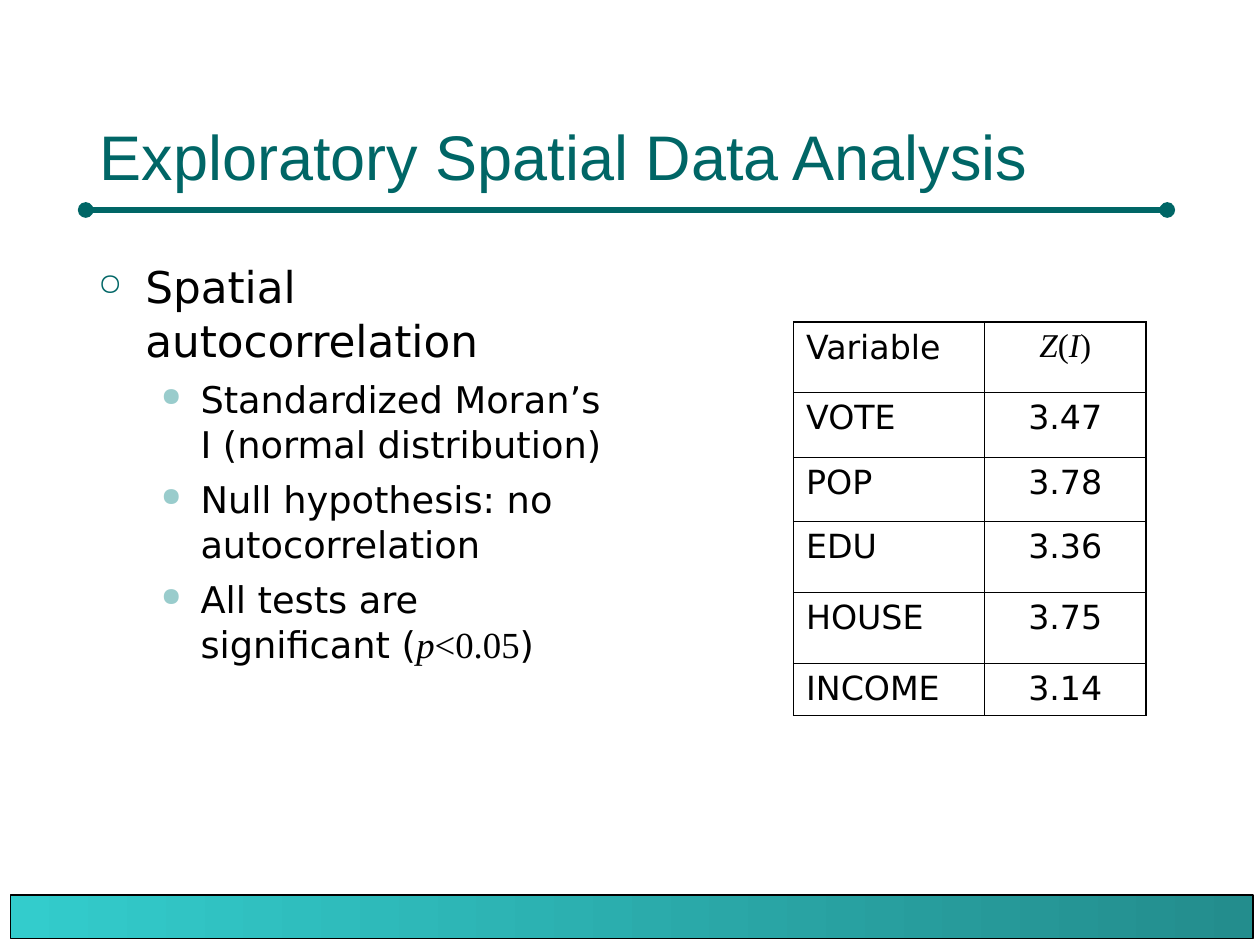
"""Build a slide on spatial autocorrelation with a table of test values."""
from lxml.etree import SubElement
from pptx import Presentation
from pptx.dml.color import RGBColor
from pptx.enum.shapes import MSO_CONNECTOR, MSO_SHAPE
from pptx.enum.text import MSO_ANCHOR, PP_ALIGN
from pptx.oxml.ns import qn
from pptx.util import Pt

HUES = {"teal": "006666", "pale": "99CCCC", "dark": "238D8D",
        "aqua": "33CCCC", "ink": "000000"}
SANS, SERIF = "DejaVu Sans", "Times New Roman"


def hue(name):
    return RGBColor.from_string(HUES[name])


def write(par, text, size=19, font=SANS, color="ink", italic=False):
    run = par.add_run()
    run.text = text
    run.font.size = Pt(size)
    run.font.name = font
    run.font.italic = italic
    run.font.color.rgb = hue(color)


deck = Presentation()
deck.slide_width, deck.slide_height = Pt(720), Pt(540)
slide = deck.slides.add_slide(deck.slide_layouts[6])
shapes = slide.shapes

rule = shapes.add_connector(MSO_CONNECTOR.STRAIGHT, Pt(49), Pt(120), Pt(667), Pt(120))
rule.line.color.rgb = hue("teal")
rule.line.width = Pt(3)
props = rule.line._get_or_add_ln()
for end in ("a:headEnd", "a:tailEnd"):
    SubElement(props, qn(end), type="oval")
SubElement(rule._element.spPr, qn("a:effectLst"))

bar = shapes.add_shape(MSO_SHAPE.RECTANGLE, Pt(6), Pt(511.5), Pt(710), Pt(25))
bar.shadow.inherit = False
bar.fill.gradient()
bar.fill.gradient_angle = 0
for stop, name in zip(bar.fill.gradient_stops, ("aqua", "dark")):
    stop.color.rgb = hue(name)
bar.line.color.rgb = hue("ink")
bar.line.width = Pt(0.75)

title = shapes.add_textbox(Pt(50), Pt(24), Pt(618), Pt(90)).text_frame
title.word_wrap = True
title.vertical_anchor = MSO_ANCHOR.BOTTOM
write(title.paragraphs[0], "Exploratory Spatial Data Analysis",
      size=36, font="Arial", color="teal")

body = shapes.add_textbox(Pt(49), Pt(144), Pt(304.5), Pt(344)).text_frame
body.word_wrap = True
points = [(0, "Spatial autocorrelation"),
          (1, "Standardized Moran’s I (normal distribution)"),
          (1, "Null hypothesis: no autocorrelation"),
          (1, "All tests are significant (")]
looks = [("○", "teal", 25, 27, 27), ("●", "pale", 21, 58.5, 22.5)]
for spot, (level, text) in enumerate(points):
    mark, tint, size, left, hang = looks[level]
    par = body.add_paragraph() if spot else body.paragraphs[0]
    par.level = level
    par.line_spacing = 1.03
    par.space_before = Pt(5.2 if spot else 0)
    props = par._p.get_or_add_pPr()
    props.set("marL", str(Pt(left)))
    props.set("indent", str(-Pt(hang)))
    SubElement(SubElement(props, qn("a:buClr")), qn("a:srgbClr"), val=HUES[tint])
    SubElement(props, qn("a:buSzPct"), val="70000")
    SubElement(props, qn("a:buChar"), char=mark)
    write(par, text, size=size)
write(par, "p", size=21, font=SERIF, italic=True)
write(par, "<0.05", size=21, font=SERIF)
write(par, ")", size=21)

rows = [("Variable", ""), ("VOTE", "3.47"), ("POP", "3.78"),
        ("EDU", "3.36"), ("HOUSE", "3.75"), ("INCOME", "3.14")]
highs = [40.5, 37, 36.5, 40.5, 40.5, 30]
wides = [109, 92.5]
table = shapes.add_table(len(rows), len(wides), Pt(453.5), Pt(184),
                         Pt(sum(wides)), Pt(sum(highs))).table
for col, wide in zip(table.columns, wides):
    col.width = Pt(wide)
for down, (row, high) in enumerate(zip(rows, highs)):
    table.rows[down].height = Pt(high)
    for over, text in enumerate(row):
        cell = table.cell(down, over)
        par = cell.text_frame.paragraphs[0]
        par.alignment = PP_ALIGN.CENTER if over else PP_ALIGN.LEFT
        if text:
            write(par, text)
        else:
            for part in "Z(I)":
                write(par, part, font=SERIF, italic=part.isalpha())
        props = cell._tc.get_or_add_tcPr()
        edges = {"a:lnL": over == 0, "a:lnR": over == 1,
                 "a:lnT": down == 0, "a:lnB": down == len(rows) - 1}
        for edge, outer in edges.items():
            line = SubElement(props, qn(edge), w=str(Pt(1.08 if outer else 0.45)))
            fill = SubElement(line, qn("a:solidFill"))
            SubElement(fill, qn("a:srgbClr"), val=HUES["ink"])
        cell.fill.background()

deck.save("out.pptx")
